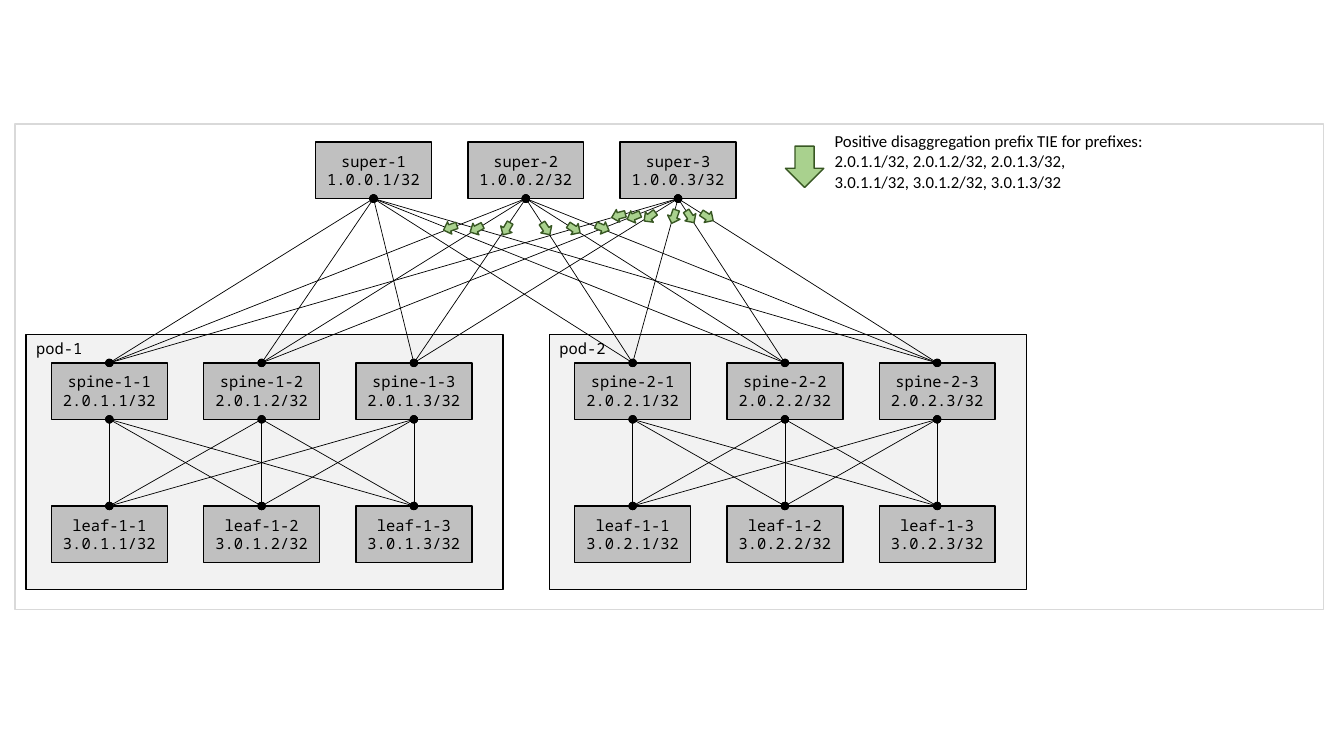
from pptx import Presentation
from pptx.dml.color import RGBColor
from pptx.enum import shapes, text
from pptx.oxml import ns
from pptx.util import Inches, Pt
from lxml import etree

BLACK = RGBColor(0x00, 0x00, 0x00)
NODE_GRAY = RGBColor(0xC0, 0xC0, 0xC0)
POD_GRAY = RGBColor(0xF2, 0xF2, 0xF2)
FRAME_GRAY = RGBColor(0xD9, 0xD9, 0xD9)
GREEN = RGBColor(0xA9, 0xD1, 0x8E)
DARK_GREEN = RGBColor(0x38, 0x57, 0x23)
RECT = shapes.MSO_SHAPE.RECTANGLE
DOWN_ARROW = shapes.MSO_SHAPE.DOWN_ARROW

PITCH = 1.51        # between neighbouring nodes
POD_PITCH = 5.19    # between the two pods
NODE_W, NODE_H = 1.15, 0.56
SUPER_Y, SPINE_Y, LEAF_Y = 1.41, 3.6, 5.02


def add_box(parent, kind, x, y, w, h, fill, line, label="", centred=True):
    sp = parent.add_shape(kind, Inches(x), Inches(y), Inches(w), Inches(h))
    sp.shadow.inherit = False
    if fill is None:
        sp.fill.background()
    else:
        sp.fill.solid()
        sp.fill.fore_color.rgb = fill
    sp.line.color.rgb = line
    sp.line.width = Pt(1)
    if label:
        tf = sp.text_frame
        tf.text = label
        tf.vertical_anchor = text.MSO_ANCHOR.MIDDLE if centred else text.MSO_ANCHOR.TOP
        for p in tf.paragraphs:
            p.alignment = text.PP_ALIGN.CENTER if centred else text.PP_ALIGN.LEFT
            for r in p.runs:
                r.font.name = "Noto Sans Mono"
                r.font.size = Pt(11)
                r.font.color.rgb = BLACK
    return sp


def link_all(parent, uppers, lowers):
    """Join the bottom of every upper node to the top of every lower node."""
    for upper in uppers:
        for lower in lowers:
            cn = parent.add_connector(shapes.MSO_CONNECTOR.STRAIGHT, 0, 0, 0, 0)
            cn.begin_connect(upper, 2)
            cn.end_connect(lower, 0)
            cn.line.color.rgb = BLACK
            cn.line.width = Pt(0.5)
            ln = cn.line._get_or_add_ln()
            for end in ("a:headEnd", "a:tailEnd"):
                etree.SubElement(ln, ns.qn(end), type="oval")
            etree.SubElement(cn._element.spPr, ns.qn("a:effectLst"))


prs = Presentation()
prs.slide_width, prs.slide_height = Inches(13.33), Inches(7.5)
s = prs.slides.add_slide(prs.slide_layouts[6])

# Pods with spines and leaves
all_spines = []
for pod in (1, 2):
    dx = (pod - 1) * POD_PITCH
    grp = s.shapes.add_group_shape().shapes
    add_box(grp, RECT, 0.26 + dx, 3.32, 4.73, 2.53, POD_GRAY, BLACK, f"pod-{pod}", centred=False)
    spines, leaves = [], []
    for n in (1, 2, 3):
        x = 0.51 + dx + (n - 1) * PITCH
        spines.append(add_box(grp, RECT, x, SPINE_Y, NODE_W, NODE_H, NODE_GRAY, BLACK,
                              f"spine-{pod}-{n}\n2.0.{pod}.{n}/32"))
        leaves.append(add_box(grp, RECT, x, LEAF_Y, NODE_W, NODE_H, NODE_GRAY, BLACK,
                              f"leaf-1-{n}\n3.0.{pod}.{n}/32"))
    link_all(grp, spines, leaves)
    all_spines += spines

# Superspines, linked to every spine
supers = [add_box(s.shapes, RECT, 3.13 + (n - 1) * PITCH, SUPER_Y, NODE_W, NODE_H,
                  NODE_GRAY, BLACK, f"super-{n}\n1.0.0.{n}/32") for n in (1, 2, 3)]
link_all(s.shapes, supers, all_spines)

# Advertisement arrows along the links of super-2 and super-3: left, top, rotation
ADVERTS = [
    (4.4, 2.19, 70.8), (4.66, 2.2, 62.2), (4.96, 2.2, 30.2),
    (5.35, 2.2, 326.1), (5.63, 2.2, 303.1), (5.91, 2.19, 292.4),
    (6.07, 2.07, 75.4), (6.22, 2.08, 67.9), (6.38, 2.08, 52.6),
    (6.62, 2.08, 19.1), (6.78, 2.08, 326.1), (6.95, 2.08, 303.1),
]
for x, y, rotation in ADVERTS:
    arrow = add_box(s.shapes, DOWN_ARROW, x, y, 0.13, 0.14, GREEN, DARK_GREEN)
    arrow.rotation = rotation

# Legend
add_box(s.shapes, DOWN_ARROW, 7.79, 1.45, 0.38, 0.41, GREEN, DARK_GREEN)
legend = s.shapes.add_textbox(Inches(8.18), Inches(1.25), Inches(3.67), Inches(0.71))
tf = legend.text_frame
tf.word_wrap = True
tf.text = ("Positive disaggregation prefix TIE for prefixes:\v"
           "2.0.1.1/32, 2.0.1.2/32, 2.0.1.3/32,\n"
           "3.0.1.1/32, 3.0.1.2/32, 3.0.1.3/32")
for p in tf.paragraphs:
    for r in p.runs:
        r.font.name = "Calibri"
        r.font.size = Pt(12)
        r.font.color.rgb = BLACK

# Outer frame
add_box(s.shapes, RECT, 0.15, 1.23, 12.98, 4.82, None, FRAME_GRAY)

prs.save("out.pptx")
